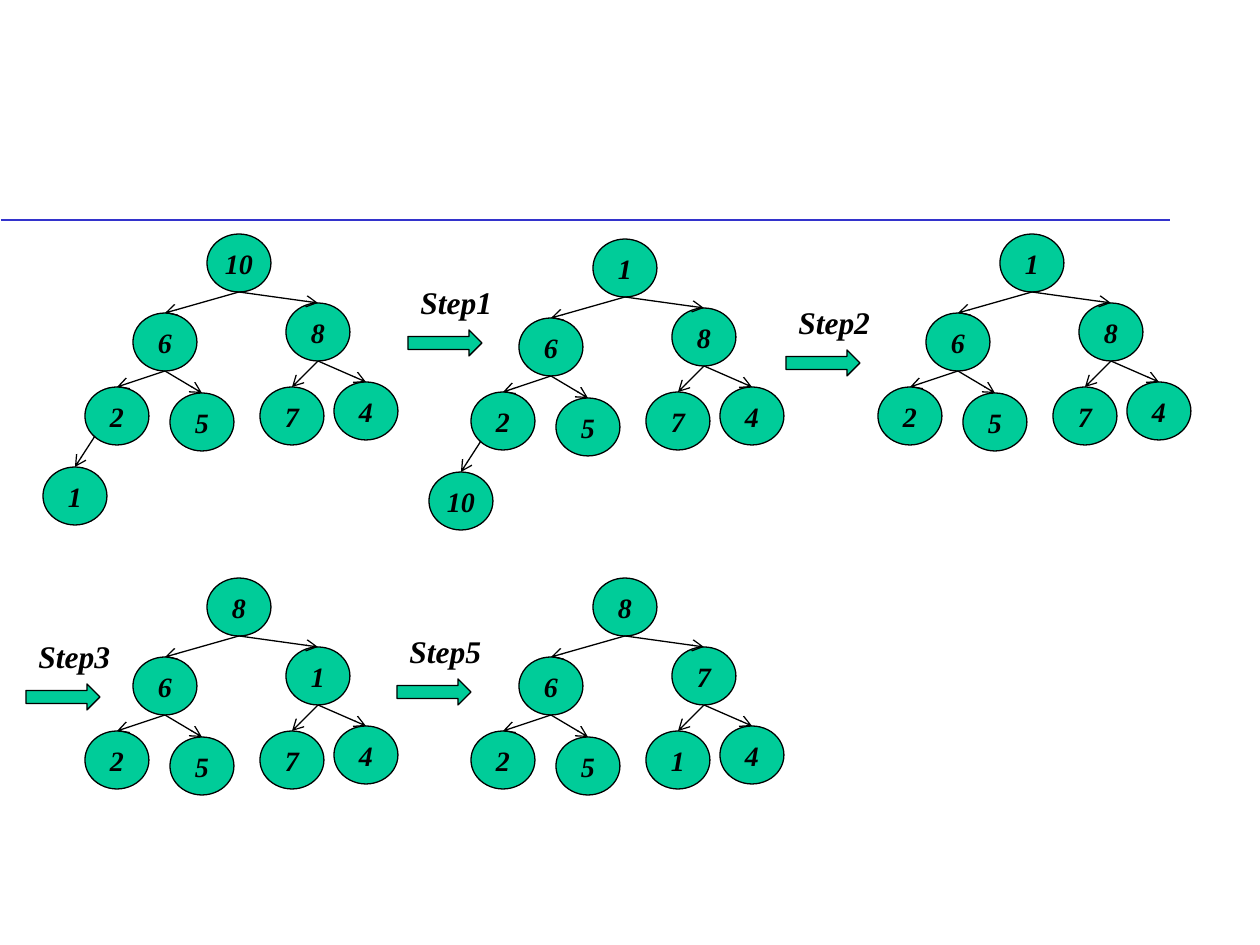
import pptx
import pptx.util
import pptx.dml.color
import pptx.enum.shapes
import pptx.enum.text
import pptx.oxml
import pptx.oxml.ns

PX = 914400 // 126  # EMU in one px
FONT = "Times New Roman"
BLACK, GREEN, BLUE = "000000", "00CC99", "3333CC"

# Root corner of each heap, and its values in level order
HEAPS = [
    ((207, 234), [10, 6, 8, 2, 5, 7, 4, 1]),
    ((593, 239), [1, 6, 8, 2, 5, 7, 4, 10]),
    ((1000, 234), [1, 6, 8, 2, 5, 7, 4]),
    ((207, 578), [8, 6, 1, 2, 5, 7, 4]),
    ((593, 578), [8, 6, 7, 2, 5, 1, 4]),
]
# Node corners relative to the root, in level order
NODE_OFFSETS = [(0, 0), (-74, 79), (79, 69), (-122, 153), (-37, 159),
                (53, 153), (127, 148), (-164, 233)]
NODE_WIDTH, NODE_HEIGHT = 64, 58

# Corner of each step arrow
STEPS = [("Step1", 408, 330), ("Step2", 786, 350),
         ("Step3", 26, 684), ("Step5", 397, 679)]
ARROW_SIZE = (74, 26)
LABEL_SIZE = (98, 50)
LABEL_RISE = 53


def emu(*lengths):
    return [pptx.util.Emu(length * PX) for length in lengths]


def color(value):
    return pptx.dml.color.RGBColor.from_string(value)


def write(shape, text, size, align, anchor=pptx.enum.text.MSO_ANCHOR.TOP):
    frame = shape.text_frame
    frame.vertical_anchor = anchor
    paragraph = frame.paragraphs[0]
    paragraph.alignment = align
    run = paragraph.add_run()
    run.text = text
    font = run.font
    font.name, font.size = FONT, pptx.util.Pt(size)
    font.bold = font.italic = True
    font.color.rgb = color(BLACK)


def add_filled(shapes, kind, x, y, width, height):
    shape = shapes.add_shape(kind, *emu(x, y, width, height))
    shape.shadow.inherit = False
    shape.fill.solid()
    shape.fill.fore_color.rgb = color(GREEN)
    shape.line.color.rgb = color(BLACK)
    shape.line.width = pptx.util.Pt(0.75)
    return shape


def add_line(shapes, start, end, line_color=BLACK, width=0.75, arrow=True):
    connector = shapes.add_connector(
        pptx.enum.shapes.MSO_CONNECTOR.STRAIGHT, *emu(*start, *end))
    connector.line.color.rgb = color(line_color)
    connector.line.width = pptx.util.Pt(width)
    if arrow:
        line = connector.line._get_or_add_ln()
        line.append(pptx.oxml.parse_xml(
            f'<a:tailEnd {pptx.oxml.ns.nsdecls("a")} type="arrow"/>'))
    connector._element.spPr.append(pptx.oxml.parse_xml(
        f'<a:effectLst {pptx.oxml.ns.nsdecls("a")}/>'))


def add_heap(slide, root, values):
    shapes = slide.shapes.add_group_shape().shapes
    corners = [(root[0] + dx, root[1] + dy) for dx, dy in NODE_OFFSETS]
    for value, (x, y) in zip(values, corners):
        node = add_filled(shapes, pptx.enum.shapes.MSO_SHAPE.OVAL,
                          x, y, NODE_WIDTH, NODE_HEIGHT)
        frame = node.text_frame
        frame.margin_left = frame.margin_right = 0
        frame.margin_top = frame.margin_bottom = 0
        write(node, str(value), 16, pptx.enum.text.PP_ALIGN.CENTER,
              pptx.enum.text.MSO_ANCHOR.MIDDLE)
    for child in range(1, len(values)):
        parent_x, parent_y = corners[(child - 1) // 2]
        child_x, child_y = corners[child]
        # The lowest edge leaves from the lower left of its parent
        dx, dy = (10, 49) if child == 7 else (NODE_WIDTH // 2, NODE_HEIGHT)
        add_line(shapes, (parent_x + dx, parent_y + dy),
                 (child_x + NODE_WIDTH // 2, child_y))


def add_step(slide, text, x, y):
    add_filled(slide.shapes, pptx.enum.shapes.MSO_SHAPE.RIGHT_ARROW,
               x, y, *ARROW_SIZE)
    label = slide.shapes.add_textbox(*emu(x, y - LABEL_RISE, *LABEL_SIZE))
    label.text_frame.word_wrap = False
    label.text_frame.auto_size = pptx.enum.text.MSO_AUTO_SIZE.SHAPE_TO_FIT_TEXT
    write(label, text, 18, pptx.enum.text.PP_ALIGN.LEFT)


def main():
    presentation = pptx.Presentation()
    presentation.slide_width, presentation.slide_height = emu(1260, 945)
    slide = presentation.slides.add_slide(presentation.slide_layouts[6])

    # Title rule
    add_line(slide.shapes, (1, 220), (1170, 220), BLUE, 1.5, arrow=False)
    # Heaps
    for root, values in HEAPS:
        add_heap(slide, root, values)
    # Steps between the heaps
    for step in STEPS:
        add_step(slide, *step)

    presentation.save("out.pptx")


if __name__ == "__main__":
    main()
